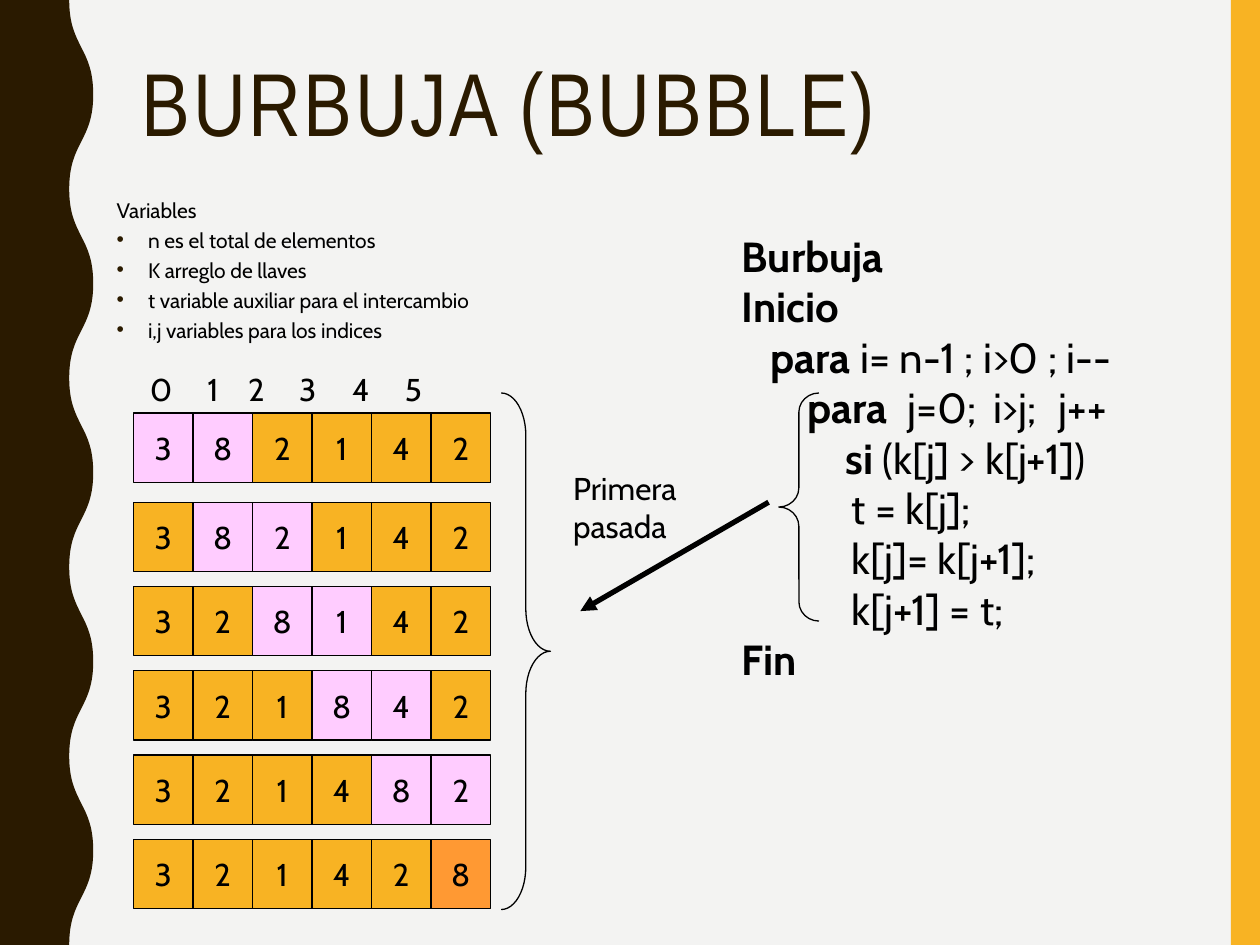
from dataclasses import dataclass

from lxml.etree import SubElement
from pptx import Presentation
from pptx.dml.color import RGBColor
from pptx.enum.shapes import MSO_CONNECTOR as Conn, MSO_SHAPE as Shape
from pptx.enum.text import MSO_ANCHOR as Anchor, MSO_AUTO_SIZE as AutoSize, PP_ALIGN as Align
from pptx.oxml.ns import qn
from pptx.util import Pt


@dataclass(frozen=True)
class Theme:
    paper: str = "F3F3F2"
    brown: str = "2A1A00"
    gold: str = "F8B323"
    pink: str = "FFCCFF"
    orange: str = "FF9933"
    ink: str = "000000"
    title_font: str = "Arial Narrow"
    font: str = "Cabin"
    title: float = 51
    code: float = 24
    label: float = 18
    note: float = 12


@dataclass(frozen=True)
class Step:
    values: str
    marked: tuple[int, ...]
    mark: str


@dataclass(frozen=True)
class CodeLine:
    indent: float
    keyword: str = ""
    rest: str = ""
    stops: tuple[float, ...] = ()


T = Theme()
STEPS = [
    Step("382142", (0, 1), T.pink),
    Step("382142", (1, 2), T.pink),
    Step("328142", (2, 3), T.pink),
    Step("321842", (3, 4), T.pink),
    Step("321482", (4, 5), T.pink),
    Step("321428", (5,), T.orange),
]
CODE = [
    CodeLine(0, "Burbuja"),
    CodeLine(0, "Inicio"),
    CodeLine(16.5, "para", " i= n-1 ; i>0 ; i--"),
    CodeLine(0, "\tpara", "\tj=0;\ti>j;\tj++", (37.3, 94.5, 143.5, 181)),
    CodeLine(59.2, "si", " (k[j] > k[j+1])"),
    CodeLine(62.6, rest="t = k[j];"),
    CodeLine(62.6, rest="k[j]= k[j+1];"),
    CodeLine(62.6, rest="k[j+1] = t;"),
    CodeLine(0, "Fin"),
]
VARIABLES = [
    "Variables",
    "n es el total de elementos",
    "K arreglo de llaves",
    "t variable auxiliar para el intercambio",
    "i,j variables para los indices",
]


def rgb(color: str) -> RGBColor:
    return RGBColor.from_string(color)


def place(sp, x: float, y: float, w: float, h: float) -> None:
    sp.left, sp.top, sp.width, sp.height = Pt(x), Pt(y), Pt(w), Pt(h)


def add_run(p, text: str, size: float, bold: bool = False, color: str = T.ink, font: str = T.font):
    r = p.add_run()
    r.text = text
    r.font.size, r.font.bold, r.font.name = Pt(size), bold, font
    r.font.color.rgb = rgb(color)
    return r


def next_paragraph(tf, i: int):
    return tf.paragraphs[0] if i == 0 else tf.add_paragraph()


def set_tabs(p, stops: tuple[float, ...], align: str) -> None:
    tabs = SubElement(p._p.get_or_add_pPr(), qn("a:tabLst"))
    for stop in stops:
        SubElement(tabs, qn("a:tab"), pos=str(Pt(stop)), algn=align)


def add_shape(shapes, kind, x: float, y: float, w: float, h: float,
              fill: str | None = None, line: str | None = None):
    sp = shapes.add_shape(kind, Pt(x), Pt(y), Pt(w), Pt(h))
    paint(sp, fill, line)
    return sp


def paint(sp, fill: str | None, line: str | None) -> None:
    sp.shadow.inherit = False
    if fill:
        sp.fill.solid()
        sp.fill.fore_color.rgb = rgb(fill)
    else:
        sp.fill.background()
    if line:
        sp.line.color.rgb = rgb(line)
        sp.line.width = Pt(0.75)
    else:
        sp.line.fill.background()


def add_text_box(s, x: float, y: float, w: float, h: float):
    tf = s.shapes.add_textbox(Pt(x), Pt(y), Pt(w), Pt(h)).text_frame
    tf.word_wrap = True
    return tf


def add_segment(path, tag: str, *points: tuple[float, float]) -> None:
    segment = SubElement(path, qn(tag))
    for x, y in points:
        SubElement(segment, qn("a:pt"), x=str(Pt(x)), y=str(Pt(y)))


def add_wave(s) -> None:
    trough, crest, half, height = 39.6, 53.3, 54, 540
    builder = s.shapes.build_freeform(0, 0)
    builder.add_line_segments([(Pt(crest), 0), (Pt(crest), Pt(height)), (0, Pt(height))])
    sp = builder.convert_to_shape()
    paint(sp, T.brown, None)
    # Curved outline inside the freeform's box
    path = next(sp._element.iter(qn("a:path")))
    for segment in list(path):
        path.remove(segment)
    add_segment(path, "a:moveTo", (0, 0))
    add_segment(path, "a:lnTo", (trough, 0))
    for n in range(10):
        start, end = (trough, crest) if n % 2 == 0 else (crest, trough)
        y = half * n
        add_segment(path, "a:cubicBezTo", (start, y + half / 2), (end, y + half / 2), (end, y + half))
    add_segment(path, "a:lnTo", (0, height))
    add_segment(path, "a:close")


def add_array(s, step: Step, y: float) -> None:
    group = s.shapes.add_group_shape()
    for col, value in enumerate(step.values):
        fill = step.mark if col in step.marked else T.gold
        sp = add_shape(group.shapes, Shape.RECTANGLE, 76.3 + 34 * col, y, 34, 39.6, fill, T.ink)
        tf = sp.text_frame
        tf.word_wrap, tf.vertical_anchor = False, Anchor.MIDDLE
        p = tf.paragraphs[0]
        p.alignment = Align.CENTER
        add_run(p, value, T.label)


prs = Presentation()
prs.slide_width, prs.slide_height = Pt(720), Pt(540)
s = prs.slides.add_slide(prs.slide_layouts[1])
s.background.fill.solid()
s.background.fill.fore_color.rgb = rgb(T.paper)

# Side decorations
add_shape(s.shapes, Shape.RECTANGLE, 703.4, 0, 16.6, 540, T.gold)
add_wave(s)

# Title
title = s.shapes.title
place(title, 73.8, 30.2, 601, 117.4)
tf = title.text_frame
tf.auto_size, tf.vertical_anchor = AutoSize.NONE, Anchor.TOP
p = tf.paragraphs[0]
p.alignment, p.line_spacing = Align.LEFT, 0.9
r = add_run(p, "BURBUJA (BUBBLE)", T.title, color=T.brown, font=T.title_font)
r.font._element.set("spc", "150")

# Variable list
body = s.placeholders[1]
place(body, 59.4, 113.2, 630, 87.1)
tf = body.text_frame
tf.auto_size = AutoSize.NONE
for i, text in enumerate(VARIABLES):
    p = next_paragraph(tf, i)
    p.line_spacing, p.space_before = 0.7, Pt(7)
    pPr = p._p.get_or_add_pPr()
    pPr.set("marL", str(Pt(18)))
    pPr.set("indent", str(-Pt(18)))
    if i == 0:
        SubElement(pPr, qn("a:buNone"))
    else:
        SubElement(SubElement(pPr, qn("a:buClr")), qn("a:srgbClr"), val=T.brown)
        SubElement(pPr, qn("a:buChar"), char="•")
    add_run(p, text, T.note)

# Pseudocode
tf = add_text_box(s, 416.9, 128.2, 272.2, 265.7)
for i, line in enumerate(CODE):
    p = next_paragraph(tf, i)
    if line.indent:
        p._p.get_or_add_pPr().set("indent", str(Pt(line.indent)))
    if line.stops:
        set_tabs(p, line.stops, "l")
    if line.keyword:
        add_run(p, line.keyword, T.code, bold=True)
    if line.rest:
        add_run(p, line.rest, T.code)

# Array indices and the state after each comparison
p = add_text_box(s, 70.6, 207.8, 219.6, 28.8).paragraphs[0]
set_tabs(p, (14.4, 43.9, 68.8, 98.2, 128.5, 158.6), "ctr")
add_run(p, "".join(f"\t{n}" for n in range(6)), T.label)
for i, step in enumerate(STEPS):
    add_array(s, step, 236 if i == 0 else 287 + 48.15 * (i - 1))

# Braces, arrow and label
for kind, box, curl in ((Shape.LEFT_BRACE, (445, 224.6, 23, 130.3), 0.478),
                        (Shape.RIGHT_BRACE, (286.4, 224.6, 28.1, 295.2), 0.866)):
    add_shape(s.shapes, kind, *box, line=T.ink).adjustments[0] = curl

arrow = s.shapes.add_connector(Conn.STRAIGHT, Pt(439.2), Pt(287), Pt(331.6), Pt(349.2))
arrow.line.color.rgb = rgb(T.ink)
arrow.line.width = Pt(3)
spPr = arrow._element.spPr
SubElement(spPr.find(qn("a:ln")), qn("a:tailEnd"), type="triangle")
SubElement(spPr, qn("a:effectLst"))

tf = add_text_box(s, 320.4, 264.6, 82.8, 50.4)
for i, word in enumerate(("Primera", "pasada")):
    add_run(next_paragraph(tf, i), word, T.label)

prs.save("out.pptx")
